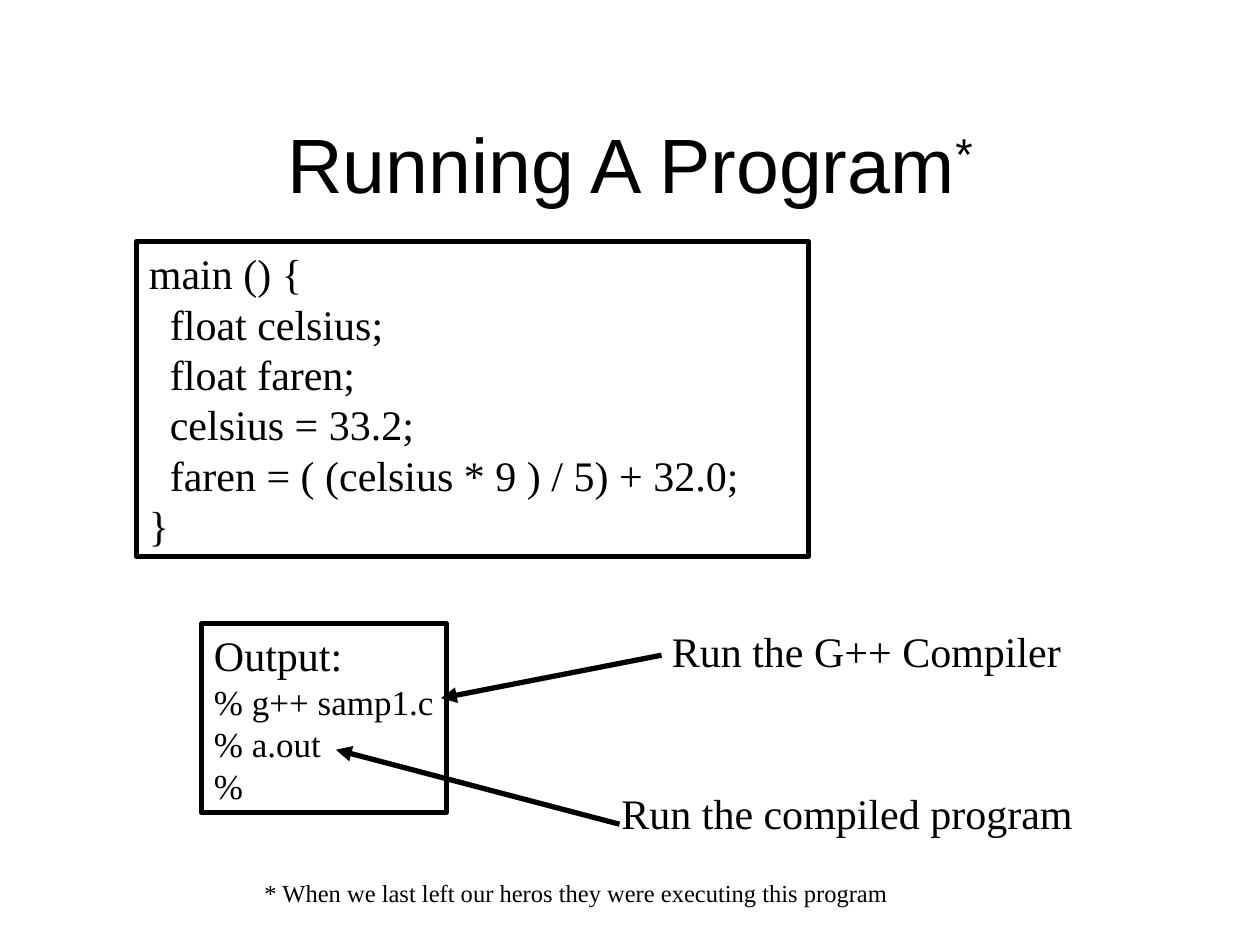
from lxml.etree import SubElement
from pptx import Presentation
from pptx.dml.color import RGBColor
from pptx.enum.shapes import MSO_CONNECTOR as Link, MSO_SHAPE as Shape
from pptx.enum.text import MSO_ANCHOR as Anchor, MSO_AUTO_SIZE as Fit, PP_ALIGN as Align
from pptx.oxml.ns import qn
from pptx.util import Inches, Pt

BLACK = RGBColor(0, 0, 0)
SERIF, SANS = "Times New Roman", "Arial"
CELLS = 12
CODE = """main () {
  float celsius;
  float faren;
  celsius = 33.2;
  faren = ( (celsius * 9 ) / 5) + 32.0;
}""".split("\n")
SHELL = ["Output:", "% g++ samp1.c", "% a.out", "%"]


def grid(*cells):
    """Turn grid cells, twelve to the inch, into lengths."""
    return [Inches(n / CELLS) for n in cells]


def apply(item, **values):
    """Set each given attribute on an item."""
    for name, value in values.items():
        setattr(item, name, value)


def style(font, size, face=SERIF):
    """Give a font its size, face and black colour."""
    apply(font, size=Pt(size), name=face)
    font.color.rgb = BLACK


def outline(item):
    """Draw a heavy black line."""
    item.line.color.rgb = BLACK
    item.line.width = Pt(3)


def title(slide, text, mark):
    """Fill the title and raise its footnote mark."""
    head = slide.shapes.title
    apply(head, **dict(zip(("left", "top", "width", "height"), grid(9, 8, 102, 15))))
    apply(head.text_frame, auto_size=Fit.NONE, vertical_anchor=Anchor.MIDDLE)
    para = head.text_frame.paragraphs[0]
    para.alignment = Align.CENTER
    for part in (text, mark):
        run = para.add_run()
        run.text = part
        style(run.font, 44, SANS)
    run.font._element.set("baseline", "30000")


def write(box, lines, sizes, wrap=False):
    """Write lines of text, each with its own size."""
    frame = box.text_frame
    apply(frame, word_wrap=wrap, auto_size=Fit.SHAPE_TO_FIT_TEXT, vertical_anchor=Anchor.TOP)
    frame.text = "\n".join(lines)
    for para, size in zip(frame.paragraphs, sizes):
        apply(para, alignment=Align.LEFT, line_spacing=Pt(size * 1.2))
        style(para.font, size)
        for run in para.runs:
            style(run.font, size)


def panel(slide, place, lines, sizes, wrap=False):
    """Add a framed box of text."""
    box = slide.shapes.add_shape(Shape.RECTANGLE, *grid(*place))
    box.shadow.inherit = False
    box.fill.background()
    outline(box)
    write(box, lines, sizes, wrap)


def label(slide, place, text, size=24):
    """Add a single line of plain text."""
    write(slide.shapes.add_textbox(*grid(*place)), [text], [size])


def arrow(slide, *ends):
    """Add an arrow from its start to its tip."""
    line = slide.shapes.add_connector(Link.STRAIGHT, *grid(*ends))
    outline(line)
    SubElement(line.line._get_or_add_ln(), qn("a:tailEnd"), type="triangle")
    SubElement(line._element.spPr, qn("a:effectLst"))


def main():
    """Build and save the slide."""
    deck = Presentation()
    apply(deck, slide_width=Inches(10), slide_height=Inches(7.5))
    slide = deck.slides.add_slide(deck.slide_layouts[5])
    title(slide, "Running A Program", "*")
    panel(slide, (13, 23, 64, 30), CODE, [24] * len(CODE), True)
    panel(slide, (19.2, 59.4, 23.3, 18), SHELL, [24, 20, 20, 20])
    label(slide, (62.8, 59, 39.5, 6), "Run the G++ Compiler")
    label(slide, (58, 74.4, 45.4, 6), "Run the compiled program")
    arrow(slide, 59, 78.5, 32, 71.4)
    arrow(slide, 63, 62.4, 42, 66.5)
    label(slide, (24, 83, 61.8, 4), "* When we last left our heros they were executing this program", 14)
    deck.save("out.pptx")


if __name__ == "__main__":
    main()
